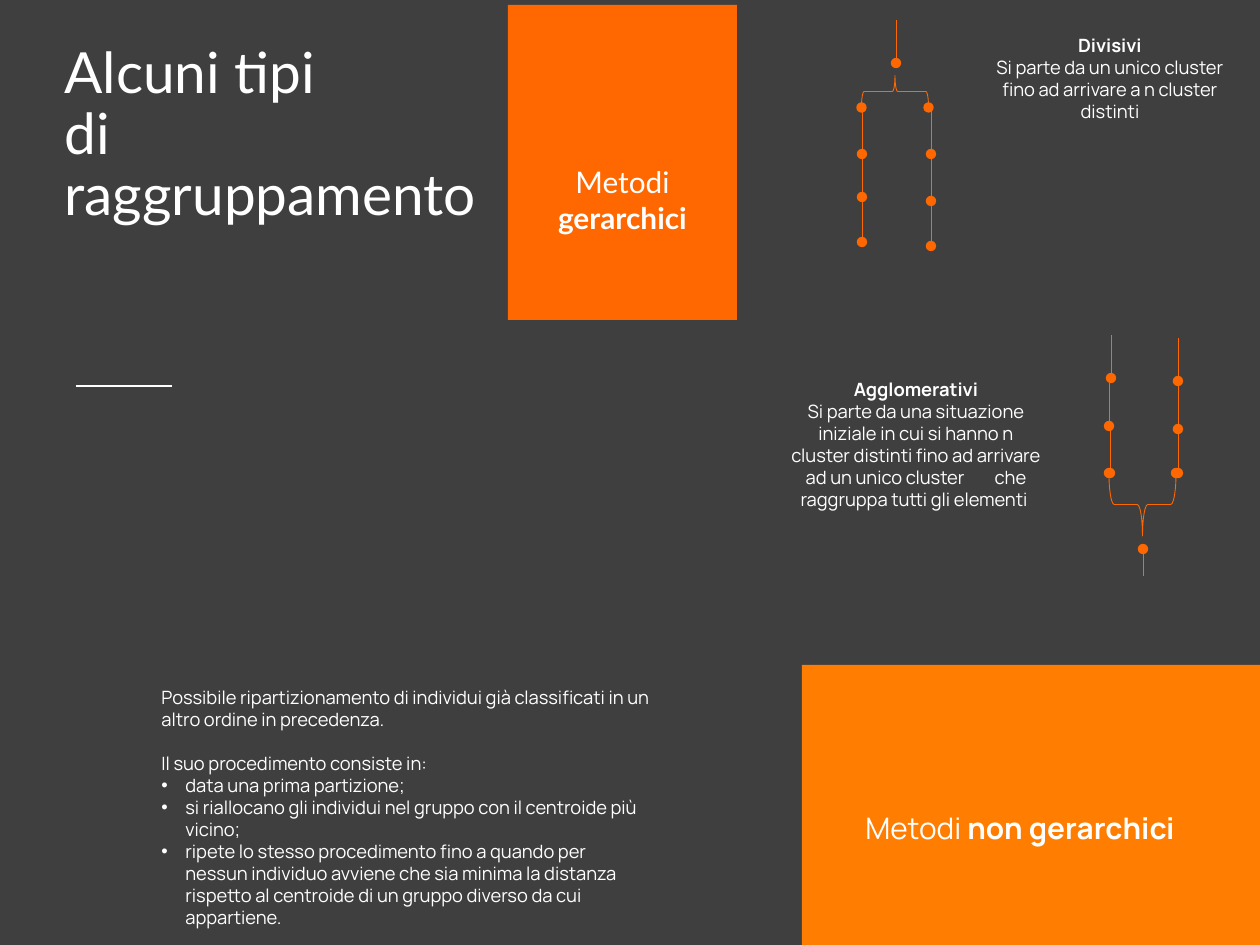
from lxml import etree
from pptx import Presentation
from pptx import util as u
from pptx.dml.color import RGBColor
from pptx.enum import shapes, text
from pptx.oxml.ns import qn

PX = u.Inches(1) / 126
THEME = {
    "background": "3F3F3F", "text": "FFFFFF", "branch": "FF6800",
    "hierarchical": "FF6800", "partition": "FF7D00",
    "heading": "Lato", "body": "Manrope",
    "title_size": 32.4, "label_size": 17, "body_size": 10.5,
}
LEFT, CENTER, JUSTIFY = text.PP_ALIGN.LEFT, text.PP_ALIGN.CENTER, text.PP_ALIGN.JUSTIFY
BULLET_INDENT = 24
BRANCH_LENGTH = 43

TITLE = {"box": (52, 73, 653, 126), "font": "heading", "size": "title_size",
         "paragraphs": [{"runs": [("Alcuni tipi \vdi \vraggruppamento", False)],
                         "format": {"alignment": LEFT, "line_spacing": 0.9}}]}
PANELS = [((508, 5, 229, 315), "hierarchical"), ((802, 665, 458, 280), "partition")]
DIVIDER = ((76, 386), (172, 386))

CENTERED = {"alignment": CENTER}
TEXTS = [
    {"box": (149, 680, 513, 213), "font": "body", "size": "body_size", "paragraphs": [
        {"runs": [("Possibile ripartizionamento di individui già classificati in "
                   "un altro ordine in precedenza.", False)]},
        {"runs": [("Il suo procedimento consiste in:", False)],
         "format": {"space_before": u.Pt(12.6)}},
        {"runs": [("data una prima partizione;", False)], "bullet": True},
        {"runs": [("si riallocano gli individui nel gruppo con il centroide più vicino;",
                   False)], "bullet": True},
        {"runs": [("ripete lo stesso procedimento fino a quando per nessun individuo "
                   "avviene che sia minima la distanza rispetto al centroide di un "
                   "gruppo diverso da cui appartiene.", False)], "bullet": True}]},
    {"box": (853, 786, 364, 62), "font": "body", "size": "label_size", "paragraphs": [
        {"runs": [("Metodi ", False), ("non gerarchici", True)],
         "format": {"alignment": JUSTIFY, "line_spacing": 1.5}}]},
    {"box": (541, 158, 163, 84), "font": "heading", "size": "label_size", "wrap": False,
     "paragraphs": [{"runs": [("Metodi", False)], "format": CENTERED},
                    {"runs": [("gerarchici", True)], "format": CENTERED}]},
    {"box": (776, 372, 280, 146), "font": "body", "size": "body_size", "paragraphs": [
        {"runs": [("Agglomerativi", True)], "format": CENTERED},
        {"runs": [("Si parte da una situazione iniziale in cui si hanno n cluster "
                   "distinti fino ad arrivare ad un unico cluster \tche raggruppa "
                   "tutti gli elementi ", False)], "format": CENTERED}]},
    {"box": (970, 28, 280, 79), "font": "body", "size": "body_size", "paragraphs": [
        {"runs": [("Divisivi", True)], "format": CENTERED},
        {"runs": [("Si parte da un unico cluster fino ad arrivare a n cluster distinti",
                   False)], "format": CENTERED}]},
]

TREES = {
    "divisive": {"brace": (879, 58, 32, 67), "rotation": 90,
                 "trunk": ((896, 20), (896, 63)),
                 "branches": [(862, 111), (862, 154), (862, 199),
                              (931, 111), (931, 158), (931, 203)]},
    "agglomerative": {"brace": (1111, 471, 63, 67), "rotation": 270,
                      "trunk": ((1143, 576), (1143, 549)),
                      "branches": [(1111, 335), (1109, 383), (1110, 430),
                                   (1178, 338), (1178, 386), (1178, 430)]},
}


def emu(lengths):
    return [round(length * PX) for length in lengths]


def color(name):
    return RGBColor.from_string(THEME[name])


def apply(target, values):
    for name, value in values.items():
        setattr(target, name, value)


def place(shape, box):
    apply(shape, dict(zip(("left", "top", "width", "height"), emu(box))))


def add_bullet(paragraph):
    properties = paragraph._p.get_or_add_pPr()
    indent = round(BULLET_INDENT * PX)
    properties.set("marL", str(indent))
    properties.set("indent", str(-indent))
    etree.SubElement(properties, qn("a:buFont")).set("typeface", "Arial")
    etree.SubElement(properties, qn("a:buChar")).set("char", "•")


def write(shape, block, anchor=text.MSO_ANCHOR.TOP):
    frame = shape.text_frame
    apply(frame, {"word_wrap": block.get("wrap", True), "vertical_anchor": anchor,
                  "auto_size": text.MSO_AUTO_SIZE.NONE})
    for index, item in enumerate(block["paragraphs"]):
        paragraph = frame.add_paragraph() if index else frame.paragraphs[0]
        apply(paragraph, item.get("format", {}))
        if item.get("bullet"):
            add_bullet(paragraph)
        for words, bold in item["runs"]:
            for number, line in enumerate(words.split("\v")):
                if number:
                    paragraph.add_line_break()
                run = paragraph.add_run()
                run.text = line
                apply(run.font, {"name": THEME[block["font"]], "bold": bold,
                                 "size": u.Pt(THEME[block["size"]])})
                run.font.color.rgb = color("text")


def style_line(shape, name, width, ends=()):
    shape.line.color.rgb = color(name)
    shape.line.width = u.Pt(width)
    outline = shape.line._get_or_add_ln()
    for end in ends:
        etree.SubElement(outline, qn(f"a:{end}")).set("type", "oval")


def add_line(slide, start, end, name, width, ends=()):
    line = slide.shapes.add_connector(shapes.MSO_CONNECTOR.STRAIGHT,
                                      *emu(start), *emu(end))
    style_line(line, name, width, ends)
    etree.SubElement(line._element.spPr, qn("a:effectLst"))


def add_panel(slide, box, name):
    panel = slide.shapes.add_shape(shapes.MSO_SHAPE.RECTANGLE, *emu(box))
    panel.shadow.inherit = False
    panel.fill.solid()
    panel.fill.fore_color.rgb = color(name)
    panel.line.fill.background()


def add_tree(slide, tree):
    brace = slide.shapes.add_shape(shapes.MSO_SHAPE.LEFT_BRACE, *emu(tree["brace"]))
    brace.rotation = tree["rotation"]
    brace.shadow.inherit = False
    brace.fill.background()
    style_line(brace, "branch", 0.5, ("headEnd", "tailEnd"))
    lines = [tree["trunk"]]
    lines += [((x, y), (x, y + BRANCH_LENGTH)) for x, y in tree["branches"]]
    for start, end in lines:
        add_line(slide, start, end, "branch", 0.5, ("tailEnd",))


def main():
    presentation = Presentation()
    presentation.slide_width, presentation.slide_height = emu((1260, 945))
    slide = presentation.slides.add_slide(presentation.slide_layouts[5])
    slide.background.fill.solid()
    slide.background.fill.fore_color.rgb = color("background")

    add_line(slide, *DIVIDER, "text", 1)
    place(slide.shapes.title, TITLE["box"])
    write(slide.shapes.title, TITLE, text.MSO_ANCHOR.MIDDLE)
    for box, name in PANELS:
        add_panel(slide, box, name)
    for tree in TREES.values():
        add_tree(slide, tree)
    for block in TEXTS:
        write(slide.shapes.add_textbox(*emu(block["box"])), block)
    presentation.save("out.pptx")


if __name__ == "__main__":
    main()
